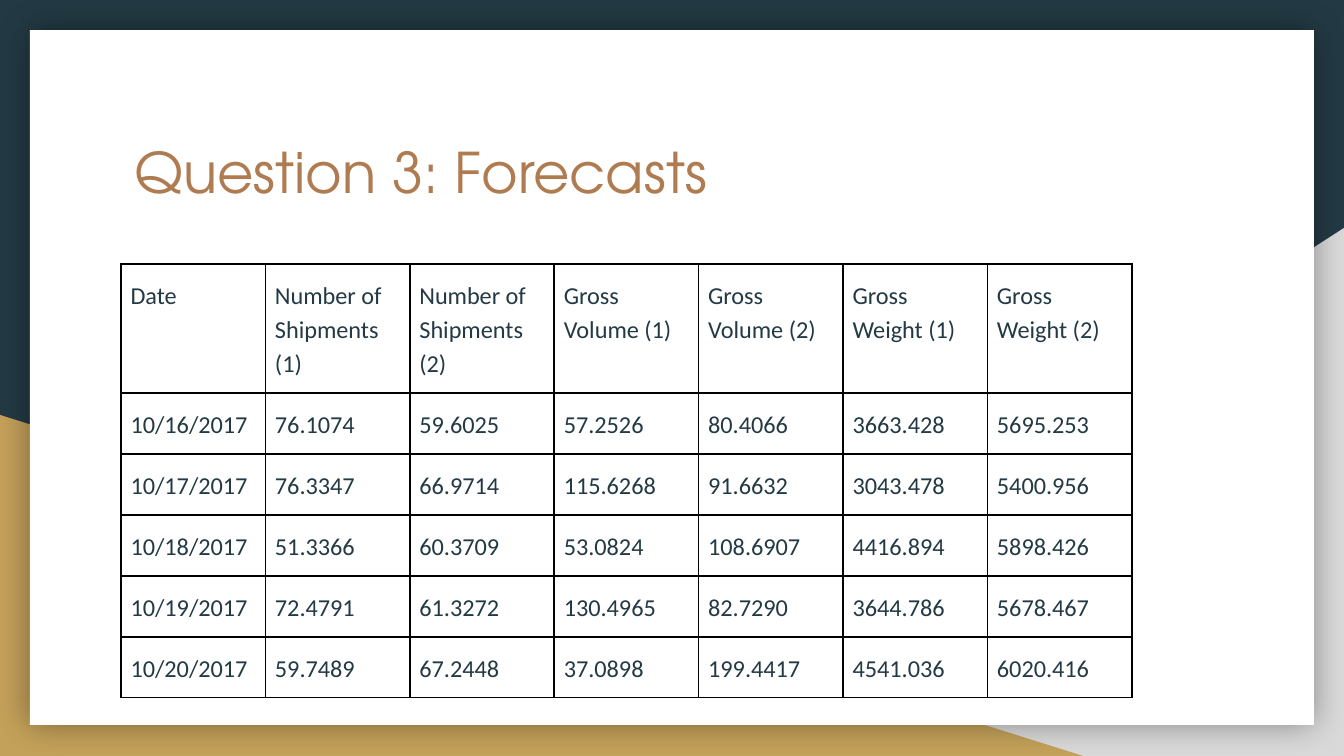
from lxml import etree
from pptx import Presentation
from pptx.dml.color import RGBColor
from pptx.enum.shapes import MSO_SHAPE
from pptx.enum.text import MSO_ANCHOR, MSO_AUTO_SIZE, PP_ALIGN
from pptx.oxml import parse_xml
from pptx.oxml.ns import qn
from pptx.util import Emu, Pt

TRI, RECT = MSO_SHAPE.RIGHT_TRIANGLE, MSO_SHAPE.RECTANGLE
TOP, LEFT, NO_FIT = MSO_ANCHOR.TOP, PP_ALIGN.LEFT, MSO_AUTO_SIZE.NONE
NS = "http://schemas.openxmlformats.org/drawingml/2006/main"

TITLE = "Question 3: Forecasts"
HEAD = ["Date", "Number of Shipments (1)", "Number of Shipments (2)",
        "Gross Volume (1)", "Gross Volume (2)",
        "Gross Weight (1)", "Gross Weight (2)"]
ROWS = [
    ["10/16/2017", "76.1074", "59.6025", "57.2526", "80.4066", "3663.428", "5695.253"],
    ["10/17/2017", "76.3347", "66.9714", "115.6268", "91.6632", "3043.478", "5400.956"],
    ["10/18/2017", "51.3366", "60.3709", "53.0824", "108.6907", "4416.894", "5898.426"],
    ["10/19/2017", "72.4791", "61.3272", "130.4965", "82.7290", "3644.786", "5678.467"],
    ["10/20/2017", "59.7489", "67.2448", "37.0898", "199.4417", "4541.036", "6020.416"],
]
NAVY, GREY, GOLD, WHITE = "233A44", "D9D9D9", "C4A15A", "FFFFFF"
BROWN, BLACK = "AF7B51", "000000"

WIDE, HIGH = 1344, 756
TITLE_BOX = (121, 124, 1103, 140)
GRID_X, GRID_Y, GRID_W = 121, 264, 1011
HEAD_H, ROW_H = 129, 61


def px(n):
    return Emu(round(n * 914400 / 134.4))


def color(code):
    return RGBColor.from_string(code)


def write(frame, text, size, font, ink, space=1.0):
    para = frame.paragraphs[0]
    para.alignment = LEFT
    para.line_spacing = space
    run = para.add_run()
    run.text = text
    run.font.size = Pt(size)
    run.font.name = font
    run.font.color.rgb = color(ink)


def add_block(slide, kind, box, fill):
    shape = slide.shapes.add_shape(kind, *map(px, box))
    shape.shadow.inherit = False
    shape.fill.solid()
    shape.fill.fore_color.rgb = color(fill)
    shape.line.fill.background()
    return shape


def add_glow(shape):
    """Give the shape a soft, centred shadow."""
    effects = shape._element.spPr.find(qn("a:effectLst"))
    effects.append(parse_xml(
        f'<a:outerShdw xmlns:a="{NS}" blurRad="{Pt(18)}" dist="0" dir="0" '
        f'algn="ctr" rotWithShape="0"><a:srgbClr val="{BLACK}">'
        '<a:alpha val="40000"/></a:srgbClr></a:outerShdw>'))


def add_border(cell):
    props = cell._tc.get_or_add_tcPr()
    for spot, side in enumerate(("lnL", "lnR", "lnT", "lnB")):
        line = etree.Element(qn(f"a:{side}"), w=str(Pt(1)))
        fill = etree.SubElement(line, qn("a:solidFill"))
        etree.SubElement(fill, qn("a:srgbClr"), val=BLACK)
        props.insert(spot, line)


def add_backdrop(slide):
    slide.background.fill.solid()
    slide.background.fill.fore_color.rgb = color(NAVY)
    right = add_block(slide, TRI, (527, 228, 817, 528), GREY)
    right._element.spPr.xfrm.set("flipH", "1")
    add_block(slide, TRI, (0, 415, 1083, 341), GOLD)
    add_glow(add_block(slide, RECT, (30, 30, 1284, 695), WHITE))


def add_title(slide):
    title = slide.shapes.title
    title.left, title.top, title.width, title.height = map(px, TITLE_BOX)
    frame = title.text_frame
    frame.auto_size = NO_FIT
    frame.vertical_anchor = TOP
    frame.margin_left = frame.margin_right = px(13.44)
    frame.margin_top = frame.margin_bottom = px(13.44)
    write(frame, TITLE, 30, "TeX Gyre Adventor", BROWN)
    slide.shapes._spTree.append(title._element)  # in front of the backdrop


def add_grid(slide):
    data = [HEAD] + ROWS
    tall = HEAD_H + ROW_H * len(ROWS)
    table = slide.shapes.add_table(
        len(data), len(HEAD), px(GRID_X), px(GRID_Y), px(GRID_W), px(tall)).table
    table.first_row = table.horz_banding = False
    for col in table.columns:
        col.width = px(GRID_W / len(HEAD))
    for i, (row, texts) in enumerate(zip(table.rows, data)):
        row.height = px(ROW_H if i else HEAD_H)
        for cell, text in zip(row.cells, texts):
            cell.margin_left = cell.margin_right = px(9.6)
            cell.margin_top = cell.margin_bottom = px(13.44)
            cell.fill.background()
            add_border(cell)
            write(cell.text_frame, text, 13, "Calibri", NAVY, space=1.15)


def main():
    deck = Presentation()
    deck.slide_width, deck.slide_height = px(WIDE), px(HIGH)
    slide = deck.slides.add_slide(deck.slide_layouts[5])
    add_backdrop(slide)
    add_title(slide)
    add_grid(slide)
    deck.save("out.pptx")


if __name__ == "__main__":
    main()
